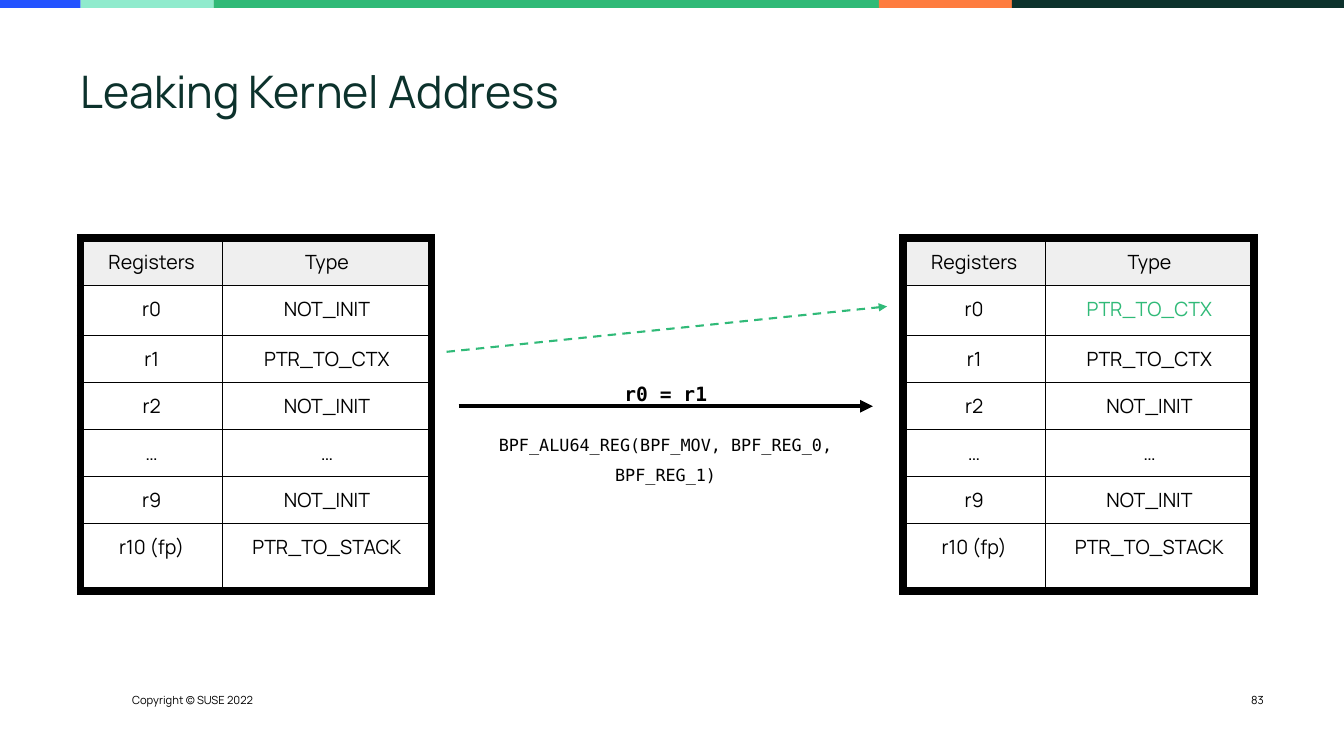
from dataclasses import dataclass
from itertools import accumulate

from lxml.etree import SubElement
from pptx import Presentation
from pptx.dml.color import RGBColor
from pptx.enum.dml import MSO_LINE_DASH_STYLE as Dash
from pptx.enum.shapes import MSO_CONNECTOR, MSO_SHAPE
from pptx.enum.text import MSO_ANCHOR as Anchor, PP_ALIGN as Align
from pptx.oxml import parse_xml
from pptx.oxml.ns import nsdecls, qn
from pptx.util import Pt

BLACK, PINE, GREEN, HEADER = "000000", "0C322C", "30BA78", "EFEFEF"
SANS, MONO = "Manrope", "DejaVu Sans Mono"
INSET = 7.2
THICK, THIN = 6, 0.75


@dataclass(frozen=True)
class Band:
    width: float
    color: str


@dataclass(frozen=True)
class Label:
    text: str
    left: float
    top: float
    width: float
    height: float
    size: float
    font: str = SANS
    bold: bool = False
    align: Align = Align.CENTER
    spacing: float = 1.0
    inset: float = INSET


@dataclass(frozen=True)
class Arrow:
    start: tuple[float, float]
    end: tuple[float, float]
    color: str
    width: float
    dash: Dash = Dash.SOLID


@dataclass(frozen=True)
class RegisterState:
    left: float
    r0_type: str
    r0_color: str


BANDS = [Band(57.6, "2453FF"), Band(95, "90EBCD"), Band(475.2, "30BA77"),
         Band(95, "FE7C3F"), Band(237.2, PINE)]
LABELS = [
    Label("Copyright © SUSE 2022", 94.3, 495.4, 97.2, 9.4, 8, align=Align.LEFT, inset=0),
    Label("83", 879.8, 495.4, 23, 9.4, 8, align=Align.RIGHT, inset=0),
    Label("BPF_ALU64_REG(BPF_MOV, BPF_REG_0, BPF_REG_1)",
          317.5, 295.9, 316, 28.8, 12, MONO, spacing=1.5),
    Label("r0 = r1", 423.4, 257, 104.4, 31.7, 14, MONO, bold=True, spacing=1.5),
]
ARROWS = [
    Arrow((327.6, 290.2), (623.5, 290.2), BLACK, 3),
    Arrow((319, 251.3), (633.6, 218.9), GREEN, 1.5, Dash.DASH),
]
STATES = [RegisterState(57.6, "NOT_INIT", BLACK),
          RegisterState(645.1, "PTR_TO_CTX", GREEN)]
TABLE_TOP = 170
COLUMNS = [101.5, 149]
ROWS = [31, 36, 31, 33, 31, 31, 48]


def rgb(color: str) -> RGBColor:
    return RGBColor.from_string(color)


def write(frame, text: str, *, size: float, font: str = SANS, color: str = BLACK,
          bold: bool = False, align: Align = Align.LEFT, spacing: float = 1.0,
          inset: float = 0, anchor: Anchor = Anchor.TOP) -> None:
    frame.word_wrap = True
    frame.vertical_anchor = anchor
    frame.margin_left = frame.margin_right = Pt(inset)
    frame.margin_top = frame.margin_bottom = Pt(inset)
    para = frame.paragraphs[0]
    para.alignment, para.line_spacing = align, spacing
    span = para.add_run()
    span.text = text
    span.font.size, span.font.name, span.font.bold = Pt(size), font, bold
    span.font.color.rgb = rgb(color)


def draw_bands(page) -> None:
    lefts = accumulate((band.width for band in BANDS), initial=0)
    for left, band in zip(lefts, BANDS):
        shape = page.shapes.add_shape(MSO_SHAPE.RECTANGLE, Pt(left), 0, Pt(band.width), Pt(5.6))
        shape.shadow.inherit = False
        shape.fill.solid()
        shape.fill.fore_color.rgb = rgb(band.color)
        shape.line.fill.background()


def draw_title(page, text: str) -> None:
    title = page.shapes.title
    title.left, title.top, title.width, title.height = Pt(57.6), Pt(49.7), Pt(844.6), Pt(34.6)
    write(title.text_frame, text, size=32, color=PINE, spacing=0.9, anchor=Anchor.MIDDLE)


def draw_label(page, label: Label) -> None:
    box = page.shapes.add_textbox(Pt(label.left), Pt(label.top), Pt(label.width), Pt(label.height))
    write(box.text_frame, label.text, size=label.size, font=label.font, bold=label.bold,
          align=label.align, spacing=label.spacing, inset=label.inset)


def draw_arrow(page, arrow: Arrow) -> None:
    points = [Pt(value) for value in arrow.start + arrow.end]
    connector = page.shapes.add_connector(MSO_CONNECTOR.STRAIGHT, *points)
    connector.line.color.rgb = rgb(arrow.color)
    connector.line.width = Pt(arrow.width)
    connector.line.dash_style = arrow.dash
    SubElement(connector.line._get_or_add_ln(), qn("a:tailEnd"), type="triangle")
    SubElement(connector._element.spPr, qn("a:effectLst"))


def set_borders(cell, **widths: float) -> None:
    properties = cell._tc.get_or_add_tcPr()
    for index, (side, width) in enumerate(widths.items()):
        properties.insert(index, parse_xml(
            f'<a:ln{side} {nsdecls("a")} w="{Pt(width)}"><a:solidFill>'
            f'<a:srgbClr val="{BLACK}"/></a:solidFill></a:ln{side}>'))


def draw_registers(page, state: RegisterState) -> None:
    entries = [("Registers", "Type"), ("r0", state.r0_type), ("r1", "PTR_TO_CTX"),
               ("r2", "NOT_INIT"), ("…", "…"), ("r9", "NOT_INIT"),
               ("r10 (fp)", "PTR_TO_STACK")]
    table = page.shapes.add_table(len(ROWS), len(COLUMNS), Pt(state.left), Pt(TABLE_TOP),
                                  Pt(sum(COLUMNS)), Pt(sum(ROWS))).table
    table.first_row = table.horz_banding = False
    for column, width in zip(table.columns, COLUMNS):
        column.width = Pt(width)
    for r, (row, height) in enumerate(zip(table.rows, ROWS)):
        row.height = Pt(height)
        for c, text in enumerate(entries[r]):
            cell = table.cell(r, c)
            write_cell(cell, text, state.r0_color if (r, c) == (1, 1) else BLACK)
            if r == 0:
                cell.fill.solid()
                cell.fill.fore_color.rgb = rgb(HEADER)
            else:
                cell.fill.background()
            # Thick frame outside, thin rules inside
            set_borders(cell,
                        L=THICK if c == 0 else THIN,
                        R=THICK if c == len(COLUMNS) - 1 else THIN,
                        T=THICK if r == 0 else THIN,
                        B=THICK if r == len(ROWS) - 1 else THIN)


def write_cell(cell, text: str, color: str) -> None:
    cell.margin_left = cell.margin_right = Pt(INSET)
    cell.margin_top = cell.margin_bottom = Pt(INSET)
    para = cell.text_frame.paragraphs[0]
    para.alignment = Align.CENTER
    span = para.add_run()
    span.text = text
    span.font.size, span.font.name = Pt(14), SANS
    span.font.color.rgb = rgb(color)


def main() -> None:
    deck = Presentation()
    deck.slide_width, deck.slide_height = Pt(960), Pt(540)
    page = deck.slides.add_slide(deck.slide_layouts[5])

    # Top strip and title
    draw_bands(page)
    draw_title(page, "Leaking Kernel Address")

    # Register tables before and after the move
    for state in STATES:
        draw_registers(page, state)

    # Instruction, arrows and footer
    for arrow in ARROWS:
        draw_arrow(page, arrow)
    for label in LABELS:
        draw_label(page, label)

    deck.save("out.pptx")


if __name__ == "__main__":
    main()
